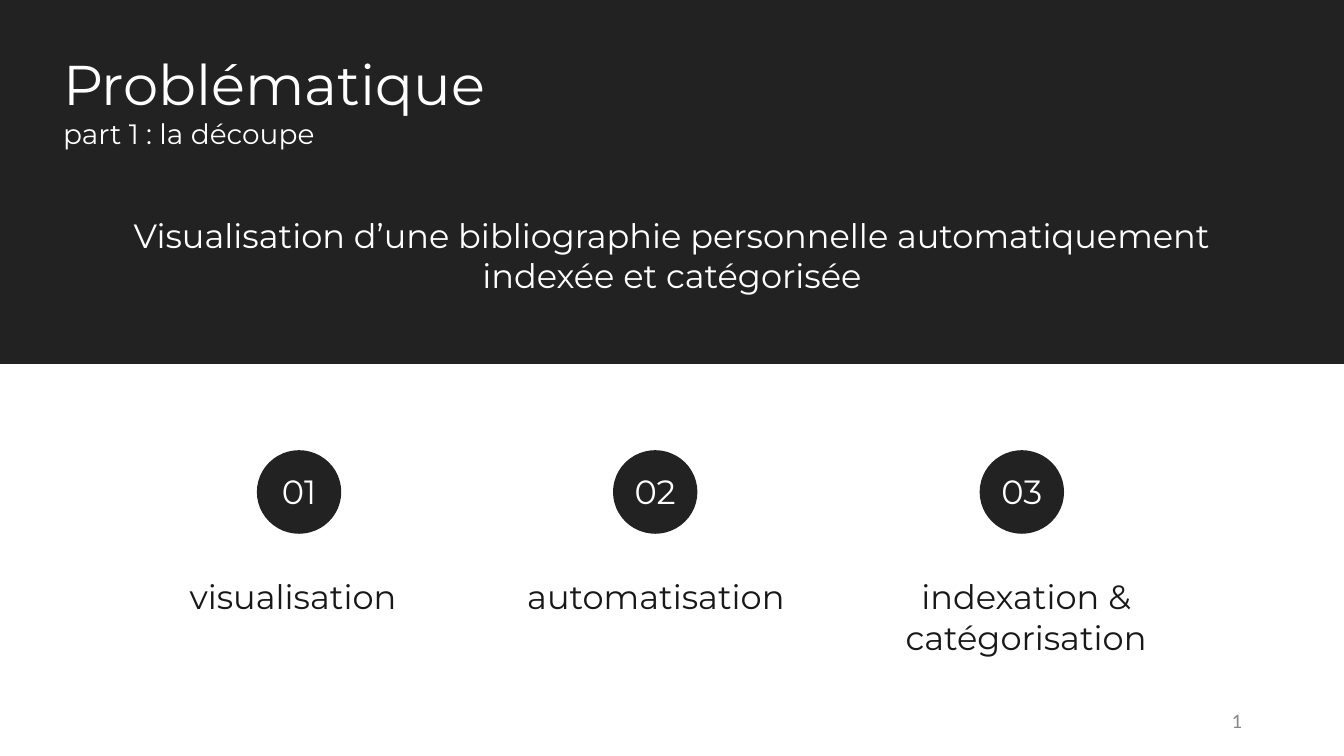
from pptx import Presentation
from pptx.dml.color import RGBColor
from pptx.enum.shapes import MSO_SHAPE
from pptx.enum.text import MSO_ANCHOR, MSO_AUTO_SIZE, PP_ALIGN
from pptx.util import Pt

RECTANGLE, CIRCLE = MSO_SHAPE.RECTANGLE, MSO_SHAPE.FLOWCHART_CONNECTOR
LEFT, CENTER, RIGHT = PP_ALIGN.LEFT, PP_ALIGN.CENTER, PP_ALIGN.RIGHT
TOP, MIDDLE = MSO_ANCHOR.TOP, MSO_ANCHOR.MIDDLE
NO_AUTOFIT = MSO_AUTO_SIZE.NONE

DARK = RGBColor(0x22, 0x22, 0x22)
INK = RGBColor(0x18, 0x18, 0x18)
WHITE = RGBColor(0xFF, 0xFF, 0xFF)
GREY = RGBColor(0x88, 0x88, 0x88)
FONT = "Montserrat"

# Content
TITLE = [("Problématique", 30), ("part 1 : la découpe", 15)]
QUESTION = "Visualisation d’une bibliographie personnelle automatiquement indexée et catégorisée"
PAGE_NUMBER = "1"
# Circle centre, label centre, label width, label lines
STEPS = [
    (160.2, 157, 161, ["visualisation"]),
    (351, 351.4, 161, ["automatisation"]),
    (547.4, 549.7, 188, ["indexation &", "catégorisation"]),
]

# Layout, in points
PAGE_WIDTH, PAGE_HEIGHT = 720, 405
BAND_HEIGHT = 195
CIRCLE_TOP, CIRCLE_WIDTH, CIRCLE_HEIGHT = 241.2, 45.2, 44.8
NUMBER_TOP, NUMBER_WIDTH = 249.8, 38
LABEL_TOP, LINE_HEIGHT = 306, 21.8


def place(shape, left, top, width, height):
    shape.left, shape.top = Pt(left), Pt(top)
    shape.width, shape.height = Pt(width), Pt(height)


def write(box, lines, color, align=CENTER, anchor=TOP, font=FONT):
    """Fill a box with (text, size) lines, one paragraph each."""
    frame = box.text_frame
    frame.word_wrap = True
    frame.auto_size = NO_AUTOFIT
    frame.vertical_anchor = anchor
    frame.margin_left = frame.margin_right = Pt(5)
    frame.margin_top = frame.margin_bottom = Pt(2.7)
    for index, (text, size) in enumerate(lines):
        para = frame.add_paragraph() if index else frame.paragraphs[0]
        para.alignment = align
        span = para.add_run()
        span.text = text
        span.font.name = font
        span.font.size = Pt(size)
        span.font.color.rgb = color


def add_text(page, area, *args, **options):
    box = page.shapes.add_textbox(*map(Pt, area))
    write(box, *args, **options)


def add_solid(page, kind, *area):
    shape = page.shapes.add_shape(kind, *map(Pt, area))
    shape.shadow.inherit = False
    shape.fill.solid()
    shape.fill.fore_color.rgb = DARK
    shape.line.fill.background()
    return shape


def main():
    deck = Presentation()
    deck.slide_width, deck.slide_height = Pt(PAGE_WIDTH), Pt(PAGE_HEIGHT)
    page = deck.slides.add_slide(deck.slide_layouts[5])

    # Dark band, moved behind the title
    title = page.shapes.title
    band = add_solid(page, RECTANGLE, 0, 0, PAGE_WIDTH, BAND_HEIGHT)
    title._element.addprevious(band._element)

    # Title and question
    place(title, 28.8, 23.9, 276, 60)
    write(title, TITLE, WHITE, align=LEFT)
    add_text(page, (59, 112.3, 602, 49), [(QUESTION, 18)], WHITE)

    # Numbered steps
    for number, (center, label_center, label_width, lines) in enumerate(STEPS, 1):
        add_solid(page, CIRCLE, center - CIRCLE_WIDTH / 2, CIRCLE_TOP,
                  CIRCLE_WIDTH, CIRCLE_HEIGHT)
        add_text(page, (center - NUMBER_WIDTH / 2, NUMBER_TOP, NUMBER_WIDTH, 27.2),
                 [(f"{number:02}", 18)], WHITE)
        add_text(page, (label_center - label_width / 2, LABEL_TOP, label_width,
                        5.4 + LINE_HEIGHT * len(lines)),
                 [(line, 18) for line in lines], INK)

    # Page number
    add_text(page, (508.3, 375.3, 162, 21.6), [(PAGE_NUMBER, 11)], GREY,
             align=RIGHT, anchor=MIDDLE, font="Calibri")

    deck.save("out.pptx")


if __name__ == "__main__":
    main()
